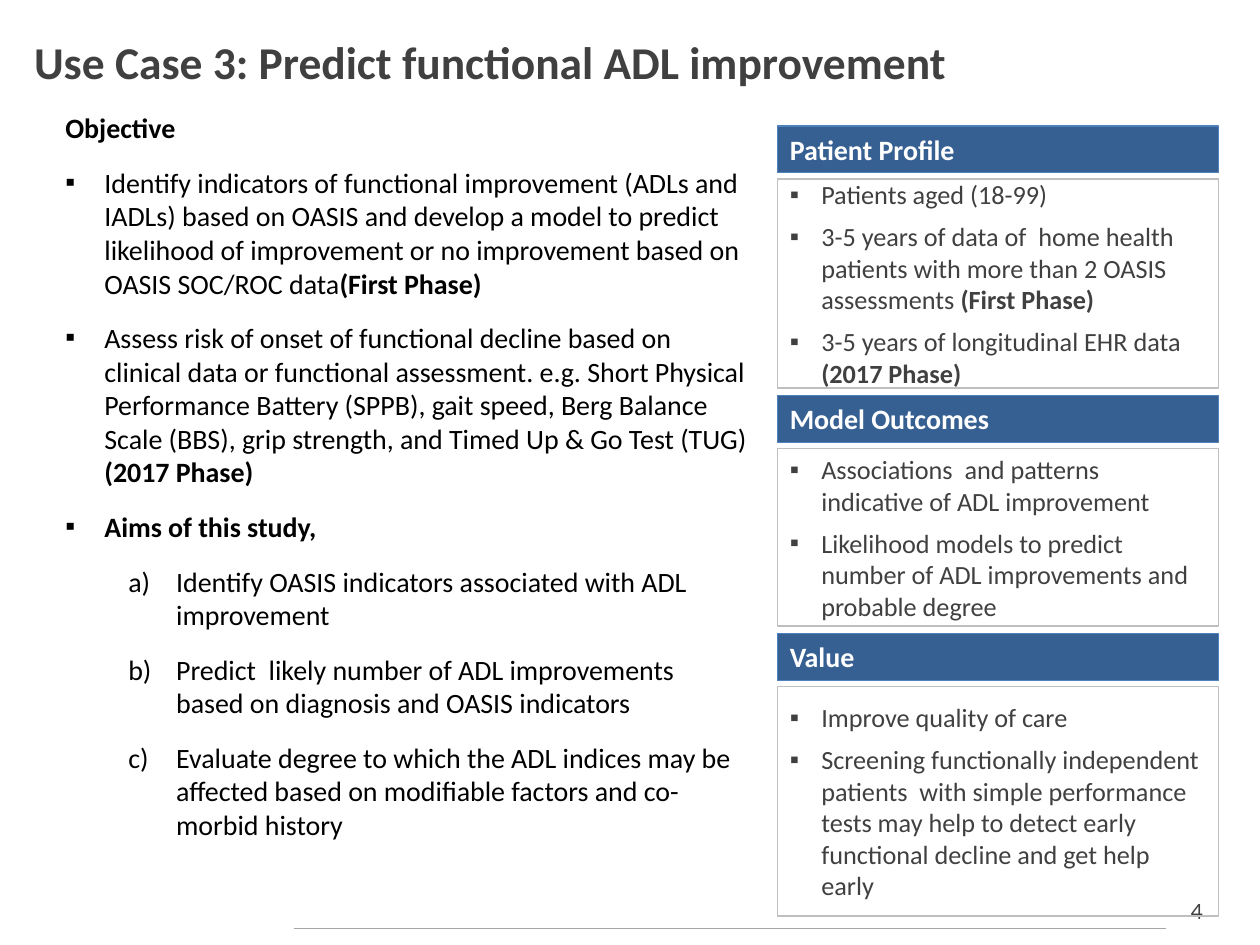
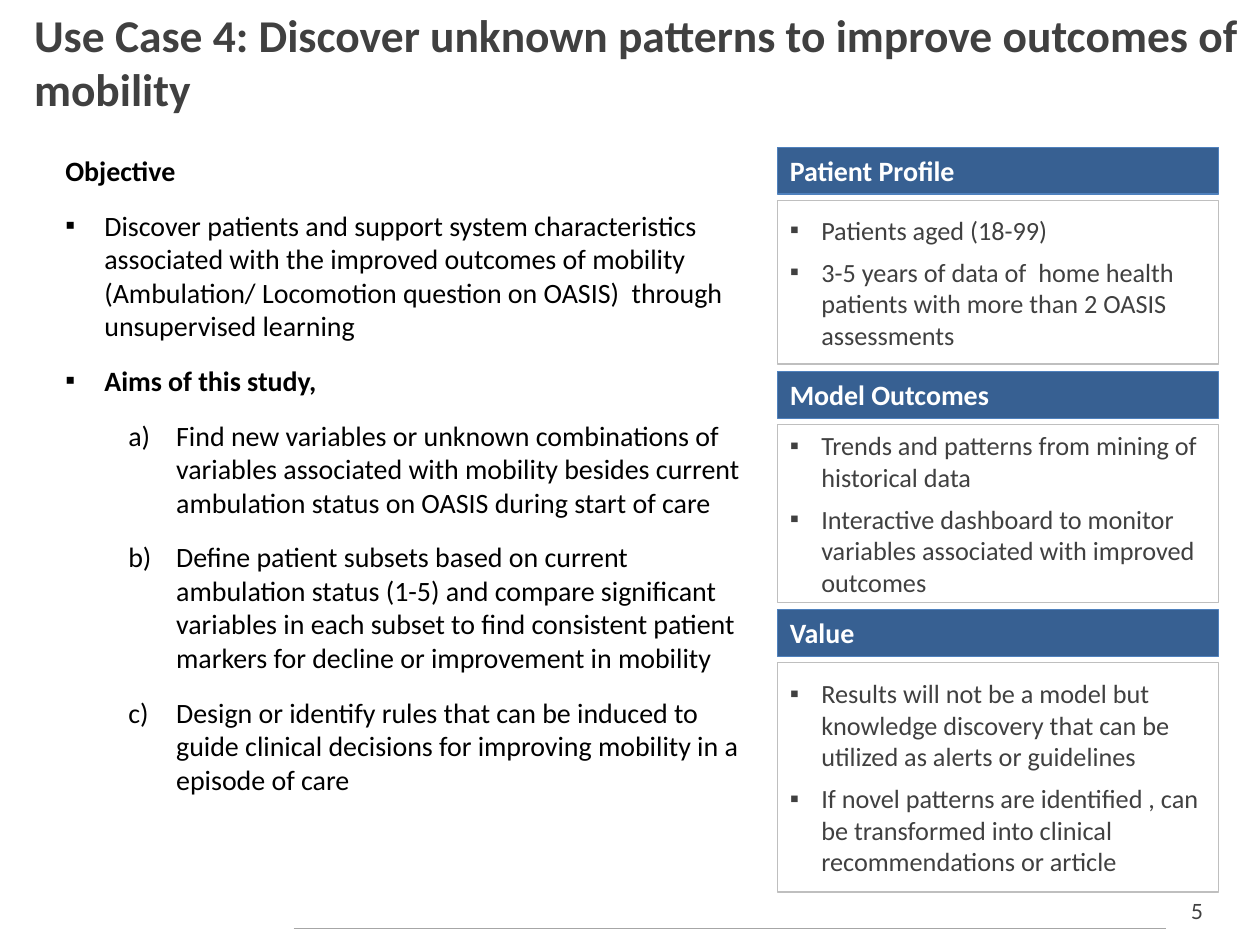
from lxml import etree
from pptx import Presentation
from pptx.dml.color import RGBColor
from pptx.enum.shapes import MSO_CONNECTOR, MSO_SHAPE
from pptx.enum.text import MSO_ANCHOR, PP_ALIGN
from pptx.oxml.ns import qn
from pptx.util import Inches, Pt

LEFT, CENTER = PP_ALIGN.LEFT, PP_ALIGN.CENTER
TOP, MIDDLE = MSO_ANCHOR.TOP, MSO_ANCHOR.MIDDLE
RECT, STRAIGHT = MSO_SHAPE.RECTANGLE, MSO_CONNECTOR.STRAIGHT

BLACK = RGBColor(0x00, 0x00, 0x00)
WHITE = RGBColor(0xFF, 0xFF, 0xFF)
DARK_GREY = RGBColor(0x40, 0x40, 0x40)
RULE_GREY = RGBColor(0xA6, 0xA6, 0xA6)
BORDER_GREY = RGBColor(0xBF, 0xBF, 0xBF)
HEADER_FILL = RGBColor(0x37, 0x60, 0x92)
HEADER_LINE = RGBColor(0x4F, 0x81, 0xBD)

FONT, NUMBER_FONT = "Calibri", "Lato"
TITLE_BOX = (0.17, 0.17, 9.83, 0.63)
OBJECTIVE_LEFT, OBJECTIVE_WIDTH, OBJECTIVE_HEIGHT = 0.42, 5.61, 5.5
PANEL_LEFT, PANEL_WIDTH = 6.17, 3.5
HEADER_HEIGHT, HEADER_GAP, PANEL_GAP = 0.37, 0.05, 0.06

# Text between ** marks is bold.
USE_CASES = [
    {
        "number": 4,
        "title": "Use Case 3: Predict functional ADL improvement",
        "objective_top": 0.83,
        "panels_top": 1.0,
        "objectives": [
            "Identify indicators of functional improvement (ADLs and IADLs) based on "
            "OASIS and develop a model to predict likelihood of improvement or no "
            "improvement based on OASIS SOC/ROC data**(First Phase)**",
            "Assess risk of onset of functional decline based on clinical data or "
            "functional assessment. e.g. Short Physical Performance Battery (SPPB), "
            "gait speed, Berg Balance Scale (BBS), grip strength, and Timed Up & Go "
            "Test (TUG) **(2017 Phase)**",
        ],
        "aims": [
            "Identify OASIS indicators associated with ADL improvement",
            "Predict  likely number of ADL improvements based on diagnosis and OASIS "
            "indicators",
            "Evaluate degree to which the ADL indices may be affected based on "
            "modifiable factors and co-morbid history",
        ],
        "panels": [
            ("Patient Profile", 1.66, [
                "Patients aged (18-99)",
                "3-5 years of data of  home health patients with more than 2 OASIS "
                "assessments **(First Phase)**",
                "3-5 years of longitudinal EHR data **(2017 Phase)**",
            ]),
            ("Model Outcomes", 1.41, [
                "Associations  and patterns indicative of ADL improvement",
                "Likelihood models to predict number of ADL improvements and "
                "probable degree",
            ]),
            ("Value", 1.82, [
                "Improve quality of care",
                "Screening functionally independent patients  with simple performance "
                "tests may help to detect early functional decline and get help early",
            ]),
        ],
    },
    {
        "number": 5,
        "title": "Use Case 4: Discover unknown patterns to improve outcomes of mobility",
        "objective_top": 1.17,
        "panels_top": 1.17,
        "objectives": [
            "Discover patients and support system characteristics associated with the "
            "improved outcomes of mobility (Ambulation/ Locomotion question on OASIS)  "
            "through unsupervised learning",
        ],
        "aims": [
            "Find new variables or unknown combinations of variables associated with "
            "mobility besides current ambulation status on OASIS during start of care",
            "Define patient subsets based on current ambulation status (1-5) and "
            "compare significant variables in each subset to find consistent patient "
            "markers for decline or improvement in mobility",
            "Design or identify rules that can be induced to guide clinical decisions "
            "for improving mobility in a episode of care",
        ],
        "panels": [
            ("Patient Profile", 1.3, [
                "Patients aged (18-99)",
                "3-5 years of data of  home health patients with more than 2 OASIS "
                "assessments",
            ]),
            ("Model Outcomes", 1.41, [
                "Trends and patterns from mining of historical data",
                "Interactive dashboard to monitor variables associated with improved "
                "outcomes",
            ]),
            ("Value", 1.82, [
                "Results will not be a model but knowledge discovery that can be "
                "utilized as alerts or guidelines",
                "If novel patterns are identified , can be transformed into clinical "
                "recommendations or article",
            ]),
        ],
    },
]


def box_inches(*lengths):
    return [Inches(v) for v in lengths]


def add_bullet(p, indent, hanging, numbered=False):
    pPr = p._p.get_or_add_pPr()
    pPr.set("marL", str(Inches(indent)))
    pPr.set("indent", str(-Inches(hanging)))
    if numbered:
        etree.SubElement(pPr, qn("a:buFont"), typeface="+mj-lt")
        etree.SubElement(pPr, qn("a:buAutoNum"), type="alphaLcParenR")
    else:
        etree.SubElement(pPr, qn("a:buFont"), typeface="Arial")
        etree.SubElement(pPr, qn("a:buChar"), char="▪")


def write_paragraph(p, text, size, color, font=FONT, align=LEFT, before=0):
    """Fill a paragraph, making the text between ** marks bold."""
    p.alignment = align
    p.space_before = Pt(before)
    for i, part in enumerate(text.split("**")):
        if part:
            r = p.add_run()
            r.text = part
            r.font.name = font
            r.font.size = Pt(size)
            r.font.bold = i % 2 == 1
            r.font.color.rgb = color


def next_paragraph(tf):
    """Return the first paragraph while it is empty, else a new one."""
    return tf.add_paragraph() if tf.paragraphs[0].runs else tf.paragraphs[0]


def add_title(slide, text):
    sp = slide.shapes.title
    sp.left, sp.top, sp.width, sp.height = box_inches(*TITLE_BOX)
    tf = sp.text_frame
    tf.word_wrap = True
    tf.vertical_anchor = MIDDLE
    write_paragraph(tf.paragraphs[0], f"**{text}**", 26, DARK_GREY)


def add_footer(slide, number):
    sp = slide.shapes.add_textbox(*box_inches(9.25, 7.08, 0.5, 0.3))
    sp.text_frame.word_wrap = True
    write_paragraph(sp.text_frame.paragraphs[0], str(number), 12, DARK_GREY,
                    NUMBER_FONT, CENTER)
    rule = slide.shapes.add_connector(STRAIGHT, *box_inches(2.33, 7.37, 9.25, 7.37))
    rule.line.color.rgb = RULE_GREY
    rule.line.width = Pt(0.75)
    etree.SubElement(rule._element.spPr, qn("a:effectLst"))


def add_objective(slide, top, objectives, aims):
    sp = slide.shapes.add_textbox(
        *box_inches(OBJECTIVE_LEFT, top, OBJECTIVE_WIDTH, OBJECTIVE_HEIGHT))
    tf = sp.text_frame
    tf.word_wrap = True
    write_paragraph(tf.paragraphs[0], "**Objective**", 16, BLACK, before=12)
    for text in objectives + ["**Aims of this study,**"]:
        p = next_paragraph(tf)
        write_paragraph(p, text, 16, BLACK, before=12)
        add_bullet(p, 0.31, 0.31)
    for text in aims:
        p = next_paragraph(tf)
        p.level = 1
        write_paragraph(p, text, 16, BLACK, before=12)
        add_bullet(p, 0.88, 0.38, numbered=True)


def add_box(slide, top, height, line_color, anchor):
    """Add an unfilled panel rectangle and return it."""
    sp = slide.shapes.add_shape(
        RECT, *box_inches(PANEL_LEFT, top, PANEL_WIDTH, height))
    sp.shadow.inherit = False
    sp.fill.background()
    sp.line.color.rgb = line_color
    sp.line.width = Pt(0.75)
    sp.text_frame.word_wrap = True
    sp.text_frame.vertical_anchor = anchor
    return sp


def add_panel(slide, top, heading, body_height, points):
    """Add a header band with a bulleted box below; return the bottom edge."""
    body_top = top + HEADER_HEIGHT + HEADER_GAP
    tf = add_box(slide, body_top, body_height, BORDER_GREY, MIDDLE).text_frame
    for text in points:
        p = next_paragraph(tf)
        write_paragraph(p, text, 15, DARK_GREY, before=6)
        add_bullet(p, 0.25, 0.25)
    header = add_box(slide, top, HEADER_HEIGHT, HEADER_LINE, TOP)
    header.fill.solid()
    header.fill.fore_color.rgb = HEADER_FILL
    write_paragraph(header.text_frame.paragraphs[0], f"**{heading}**", 16, WHITE)
    return body_top + body_height


def add_use_case(prs, case):
    slide = prs.slides.add_slide(prs.slide_layouts[5])
    add_footer(slide, case["number"])
    add_title(slide, case["title"])
    add_objective(slide, case["objective_top"], case["objectives"], case["aims"])
    top = case["panels_top"]
    for heading, body_height, points in case["panels"]:
        top = add_panel(slide, top, heading, body_height, points) + PANEL_GAP


def main():
    prs = Presentation()
    prs.slide_width, prs.slide_height = Inches(10), Inches(7.5)
    for case in USE_CASES:
        add_use_case(prs, case)
    prs.save("out.pptx")


if __name__ == "__main__":
    main()
